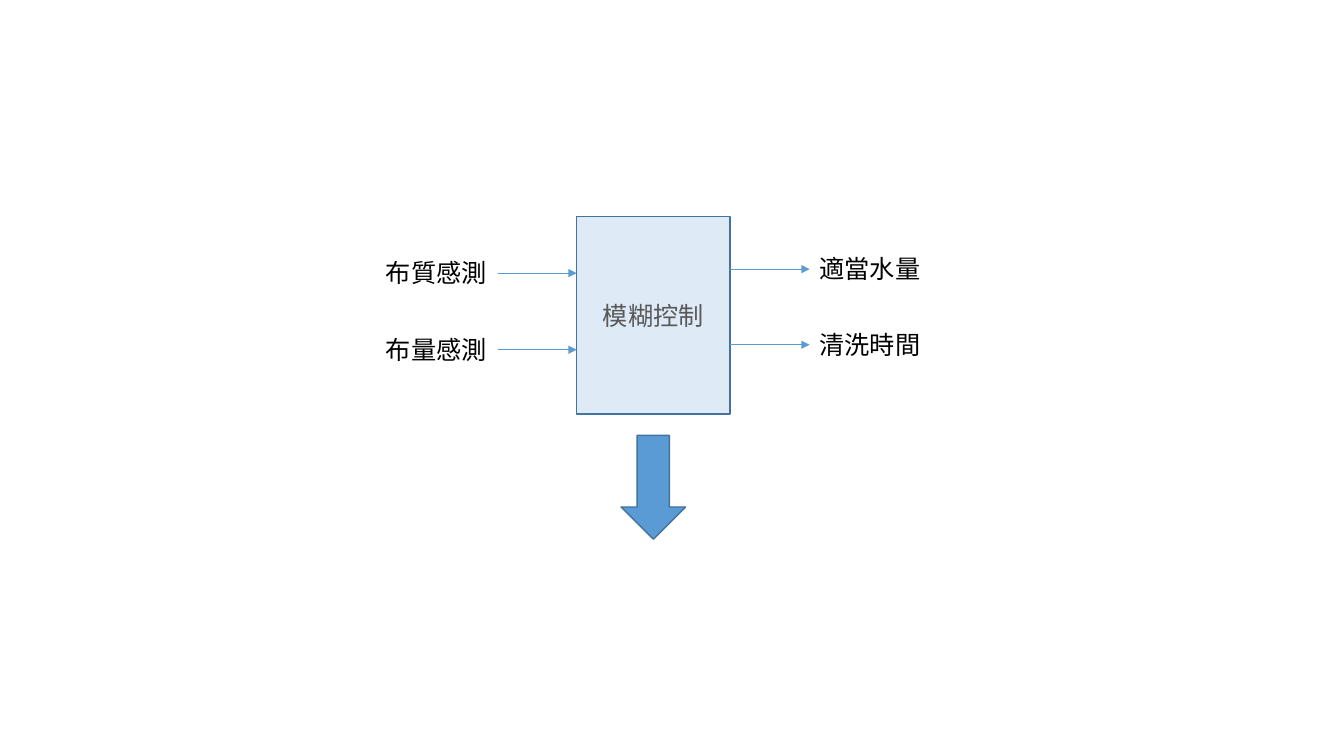
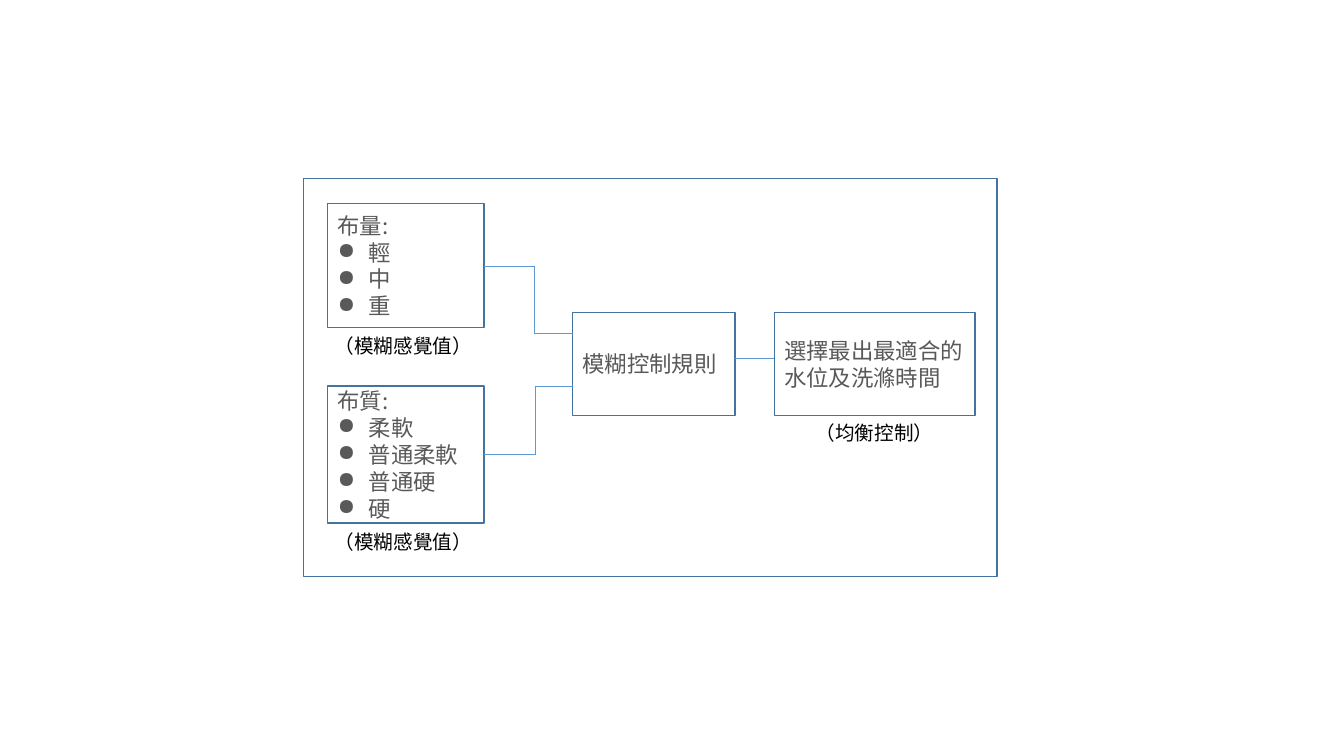
from lxml import etree
from pptx import Presentation
from pptx.dml.color import RGBColor
from pptx.enum import shapes, text
from pptx.oxml import ns
from pptx.util import Inches, Pt

FONT = "Noto Sans CJK SC"
BLACK = RGBColor(0x00, 0x00, 0x00)
GRAY = RGBColor(0x59, 0x59, 0x59)
BLUE = RGBColor(0x5B, 0x9B, 0xD5)
DARK_BLUE = RGBColor(0x43, 0x73, 0x9E)
PALE_BLUE = RGBColor(0xDE, 0xEB, 0xF7)
LEFT, CENTER = text.PP_ALIGN.LEFT, text.PP_ALIGN.CENTER
RECTANGLE = shapes.MSO_SHAPE.RECTANGLE

presentation = Presentation()
presentation.slide_width = Inches(13.33)
presentation.slide_height = Inches(7.5)
blank = presentation.slide_layouts[6]


def add_block(slide, box, lines=(), size=18, kind=None, fill=None, align=LEFT, wrap=True):
    """Add an outlined shape, or a plain label without a kind; lines after the first get bullets."""
    left, top, width, height = map(Inches, box)
    if kind is None:
        shape = slide.shapes.add_textbox(left, top, width, height)
        shape.text_frame.auto_size = text.MSO_AUTO_SIZE.SHAPE_TO_FIT_TEXT
    else:
        shape = slide.shapes.add_shape(kind, left, top, width, height)
        shape.shadow.inherit = False
        shape.line.color.rgb = DARK_BLUE
        shape.line.width = Pt(1)
        if fill is None:
            shape.fill.background()
        else:
            shape.fill.solid()
            shape.fill.fore_color.rgb = fill
    frame = shape.text_frame
    frame.word_wrap = wrap
    for index, line in enumerate(lines):
        paragraph = frame.add_paragraph() if index else frame.paragraphs[0]
        paragraph.text = line
        paragraph.alignment = align
        paragraph.font.size = Pt(size)
        paragraph.font.color.rgb = BLACK if kind is None else GRAY
        paragraph.font.name = FONT
        properties = paragraph._p.get_or_add_pPr()
        defaults = properties.find(ns.qn("a:defRPr"))
        etree.SubElement(defaults, ns.qn("a:ea"), typeface=FONT)
        if index:
            properties.set("marL", str(Inches(0.31)))
            properties.set("indent", str(-Inches(0.31)))
            bullet = etree.Element(ns.qn("a:buChar"), char="●")
            properties.insert(0, bullet)


def add_line(slide, start, end, arrow=False):
    points = [Inches(value) for value in (*start, *end)]
    line = slide.shapes.add_connector(shapes.MSO_CONNECTOR.STRAIGHT, *points)
    line.line.color.rgb = BLUE
    line.line.width = Pt(0.5)
    if arrow:
        etree.SubElement(line.line._get_or_add_ln(), ns.qn("a:tailEnd"), type="triangle")
    etree.SubElement(line._element.spPr, ns.qn("a:effectLst"))


# Slide 1: inputs and outputs of the fuzzy controller
slide = presentation.slides.add_slide(blank)
add_block(slide, (5.72, 2.15, 1.52, 1.96), ["模糊控制"], kind=RECTANGLE,
          fill=PALE_BLUE, align=CENTER)
for label, label_left, label_top, arrow_left, arrow_right, arrow_y in (
    ("布質感測", 3.73, 2.5, 4.94, 5.72, 2.71),
    ("布量感測", 3.73, 3.27, 4.94, 5.72, 3.47),
    ("適當水量", 8.03, 2.46, 7.24, 8.03, 2.67),
    ("清洗時間", 8.03, 3.22, 7.24, 8.03, 3.42),
):
    add_block(slide, (label_left, label_top, 1.21, 0.4), [label])
    add_line(slide, (arrow_left, arrow_y), (arrow_right, arrow_y), arrow=True)
add_block(slide, (6.16, 4.32, 0.64, 1.03), kind=shapes.MSO_SHAPE.DOWN_ARROW, fill=BLUE)

# Slide 2: inside the controller
slide = presentation.slides.add_slide(blank)
add_block(slide, (3.01, 1.77, 6.88, 3.95), kind=RECTANGLE)

# Boxes
for box, lines in (
    ((3.25, 2.02, 1.55, 1.23), ["布量:", "輕", "中", "重"]),
    ((3.25, 3.83, 1.55, 1.36), ["布質:", "柔軟", "普通柔軟", "普通硬", "硬"]),
    ((5.68, 3.1, 1.61, 1.02), ["模糊控制規則"]),
    ((7.68, 3.1, 1.99, 1.02), ["選擇最出最適合的水位及洗滌時間"]),
):
    add_block(slide, box, lines, size=16, kind=RECTANGLE)

# Captions below the boxes
for box, caption in (
    ((3.22, 3.26, 1.58, 0.34), "（模糊感覺值）"),
    ((3.22, 5.21, 1.58, 0.34), "（模糊感覺值）"),
    ((7.99, 4.13, 1.38, 0.34), "（均衡控制）"),
):
    add_block(slide, box, [caption], size=14, wrap=False)

# Lines from the inputs to the rules, and on to the result
for route in (
    [(4.8, 2.64), (5.3, 2.64), (5.3, 3.31), (5.68, 3.31)],
    [(4.8, 4.51), (5.31, 4.51), (5.31, 3.83), (5.68, 3.83)],
    [(7.29, 3.56), (7.68, 3.56)],
):
    for start, end in zip(route, route[1:]):
        add_line(slide, start, end)

presentation.save("out.pptx")
